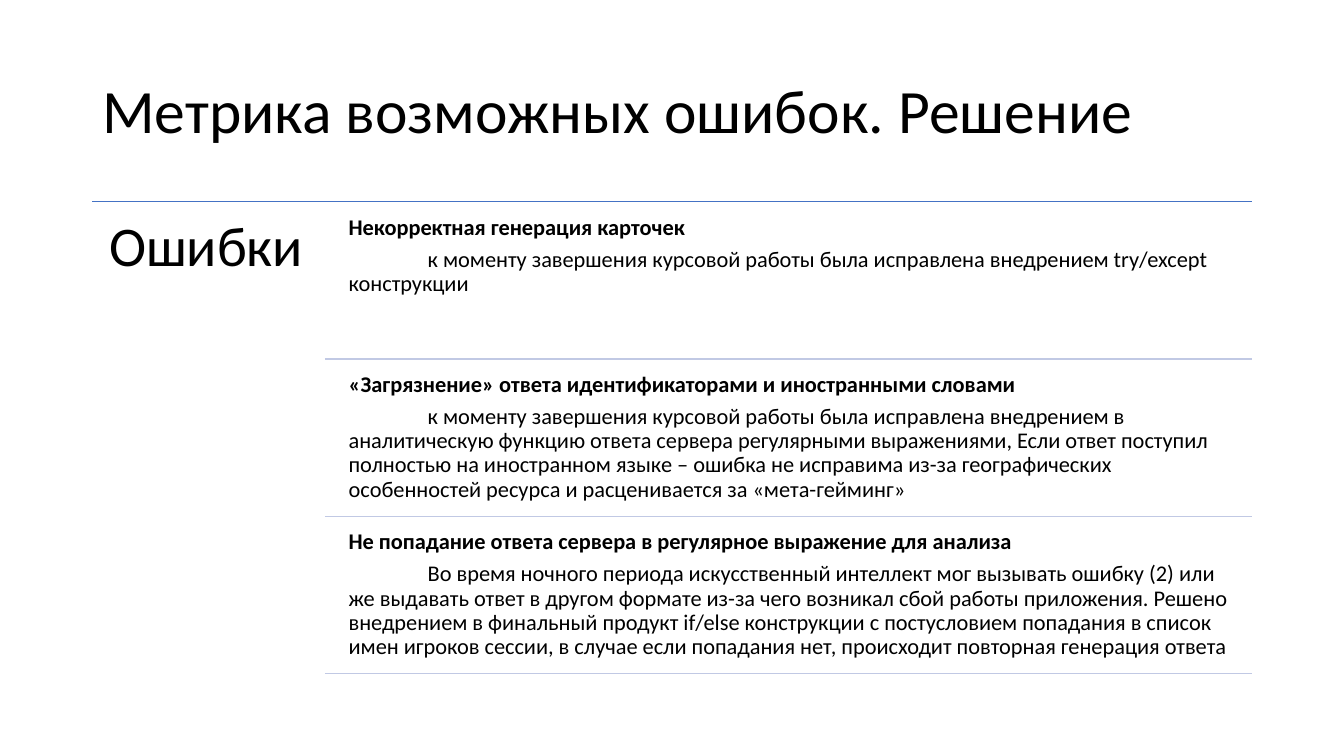
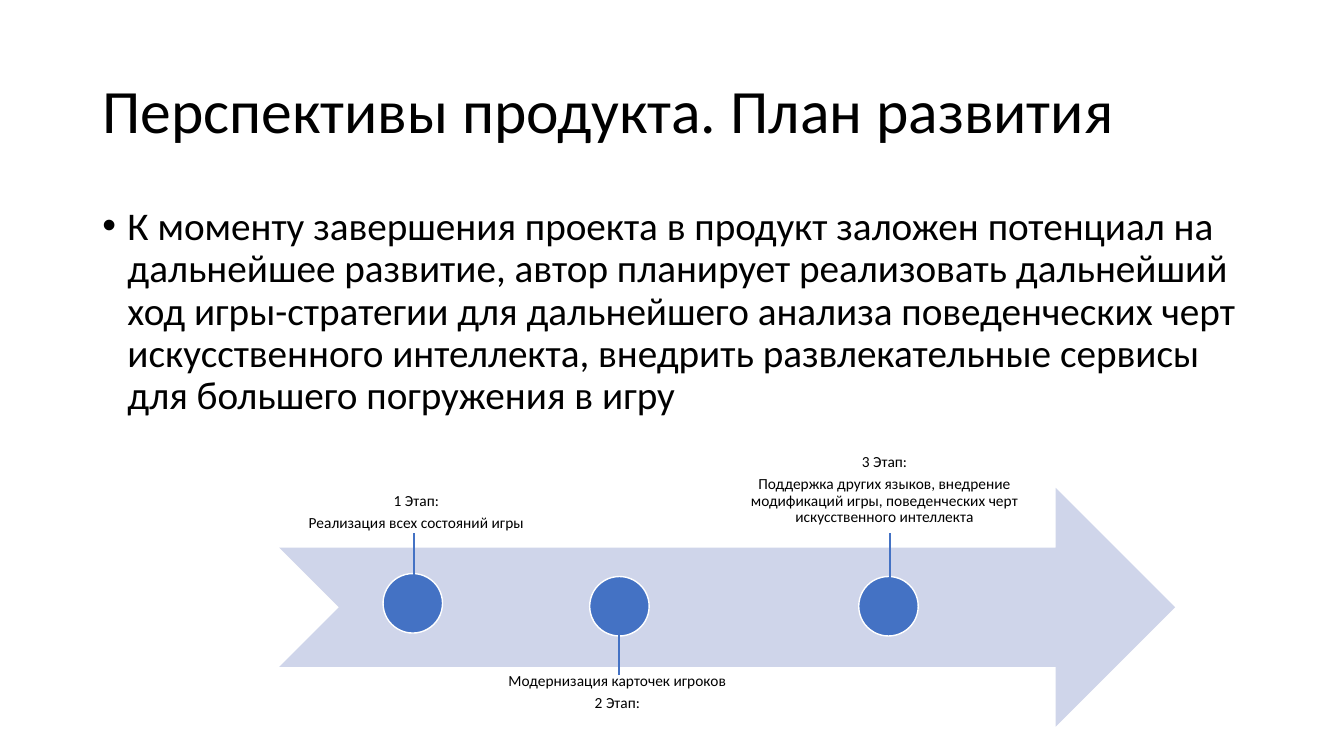
"""Build two slides: a review of possible errors and a product roadmap."""
from dataclasses import dataclass

from lxml.etree import SubElement
from pptx import Presentation
from pptx.dml.color import RGBColor
from pptx.enum.shapes import MSO_CONNECTOR, MSO_SHAPE
from pptx.enum.text import MSO_ANCHOR, PP_ALIGN
from pptx.oxml.ns import qn
from pptx.util import Pt


@dataclass(frozen=True)
class Theme:
    font: str = "Calibri"
    text: RGBColor = RGBColor(0x00, 0x00, 0x00)
    white: RGBColor = RGBColor(0xFF, 0xFF, 0xFF)
    accent: RGBColor = RGBColor(0x44, 0x72, 0xC4)
    divider: RGBColor = RGBColor(0xC1, 0xC9, 0xE4)
    arrow: RGBColor = RGBColor(0xCF, 0xD5, 0xEA)
    title_size: float = 44
    heading_size: float = 40
    body_size: float = 28
    error_size: float = 16
    stage_size: float = 11
    line_spacing: float = 0.9
    gap_ratio: float = 0.35


theme = Theme()


def add_text(page, area, lines, size, inset=None, anchor=MSO_ANCHOR.TOP,
             align=PP_ALIGN.LEFT, bold_first=False, indents=None):
    box = page.shapes.add_textbox(*(Pt(value) for value in area))
    frame = box.text_frame
    frame.word_wrap = True
    frame.vertical_anchor = anchor
    if inset is not None:
        frame.margin_left = frame.margin_right = Pt(inset)
        frame.margin_top = frame.margin_bottom = Pt(inset)
    for index, line in enumerate(lines):
        para = frame.paragraphs[0] if index == 0 else frame.add_paragraph()
        para.text = line
        para.alignment = align
        para.line_spacing = theme.line_spacing
        para.space_after = Pt(round(size * theme.gap_ratio, 2))
        if indents and indents[index]:
            left, first, bullet = indents[index]
            properties = para._p.get_or_add_pPr()
            properties.set("marL", str(Pt(left)))
            properties.set("indent", str(Pt(first)))
            if bullet:
                SubElement(properties, qn("a:buFont")).set("typeface", "Arial")
                SubElement(properties, qn("a:buChar")).set("char", bullet)
        font = para.font
        font.name = theme.font
        font.size = Pt(size)
        font.bold = bold_first and index == 0
        font.color.rgb = theme.text


def add_line(page, start, end, color, width):
    line = page.shapes.add_connector(
        MSO_CONNECTOR.STRAIGHT, *(Pt(value) for value in (*start, *end)))
    line.line.color.rgb = color
    line.line.width = Pt(width)
    SubElement(line._element.spPr, qn("a:effectLst"))


deck = Presentation()
deck.slide_width, deck.slide_height = Pt(960), Pt(540)

titles = ["Метрика возможных ошибок. Решение", "Перспективы продукта. План развития"]
pages = []
for title in titles:
    page = deck.slides.add_slide(deck.slide_layouts[6])
    add_text(page, (66, 28.8, 828, 104.4), [title], theme.title_size,
             anchor=MSO_ANCHOR.MIDDLE)
    pages.append(page)
errors_page, plan_page = pages

errors = [
    ("Некорректная генерация карточек",
     "к моменту завершения курсовой работы была исправлена внедрением "
     "try/except конструкции"),
    ("«Загрязнение» ответа идентификаторами и иностранными словами",
     "к моменту завершения курсовой работы была исправлена внедрением в "
     "аналитическую функцию ответа сервера регулярными выражениями, Если ответ "
     "поступил полностью на иностранном языке – ошибка не исправима из-за "
     "географических особенностей ресурса и расценивается за «мета-гейминг»"),
    ("Не попадание ответа сервера в регулярное выражение для анализа",
     "Во время ночного периода искусственный интеллект мог вызывать ошибку (2) "
     "или же выдавать ответ в другом формате из-за чего возникал сбой работы "
     "приложения. Решено внедрением в финальный продукт if/else конструкции с "
     "постусловием попадания в список имен игроков сессии, в случае если "
     "попадания нет, происходит повторная генерация ответа"),
]
right, list_top, row_height, row_gap = 894, 144, 107.2, 5.2
add_line(errors_page, (66, list_top), (right, list_top), theme.accent, 1)
add_text(errors_page, (66, list_top, 165.6, 342.7), ["Ошибки"],
         theme.heading_size, inset=12)
for index, error in enumerate(errors):
    top = list_top + row_gap + index * (row_height + row_gap)
    add_text(errors_page, (244, top, 650, row_height), error, theme.error_size,
             inset=5, bold_first=True, indents=[None, (0, 56.5, None)])
    bottom = top + row_height
    add_line(errors_page, (232, bottom), (right, bottom), theme.divider, 1)

add_text(
    plan_page, (66, 144, 828, 342.7),
    ["К моменту завершения проекта в продукт заложен потенциал на дальнейшее "
     "развитие, автор планирует реализовать дальнейший ход игры-стратегии для "
     "дальнейшего анализа поведенческих черт искусственного интеллекта, внедрить "
     "развлекательные сервисы для большего погружения в игру"],
    theme.body_size, indents=[(18, -18, "•")])

arrow = plan_page.shapes.add_shape(
    MSO_SHAPE.NOTCHED_RIGHT_ARROW, Pt(199.4), Pt(348.5), Pt(640), Pt(170.6))
arrow.shadow.inherit = False
arrow.fill.solid()
arrow.fill.fore_color.rgb = theme.arrow
arrow.line.fill.background()

above, below = (429, 381), (482, 434)
stages = [
    (["1 Этап:", "Реализация всех состояний игры"],
     (204.5, 336.2, 185.8, 50.4), MSO_ANCHOR.BOTTOM, (273.6, 409.7), 296, above),
    (["Модернизация карточек игроков", "2 Этап:"],
     (353.5, 474.5, 175, 60), MSO_ANCHOR.TOP, (421.2, 411.8), 442, below),
    (["3 Этап:", "Поддержка других языков, внедрение модификаций игры, "
      "поведенческих черт искусственного интеллекта"],
     (529.2, 310.3, 205.2, 72), MSO_ANCHOR.BOTTOM, (613.4, 411.8), 635.8, above),
]
diameter = 42.5
for lines, area, anchor, corner, stem, ends in stages:
    add_text(plan_page, area, lines, theme.stage_size, inset=6.5, anchor=anchor,
             align=PP_ALIGN.CENTER)
    marker = plan_page.shapes.add_shape(
        MSO_SHAPE.OVAL, Pt(corner[0]), Pt(corner[1]), Pt(diameter), Pt(diameter))
    marker.shadow.inherit = False
    marker.fill.solid()
    marker.fill.fore_color.rgb = theme.accent
    marker.line.color.rgb = theme.white
    marker.line.width = Pt(1)
    add_line(plan_page, (stem, ends[0]), (stem, ends[1]), theme.accent, 1.5)

deck.save("out.pptx")
